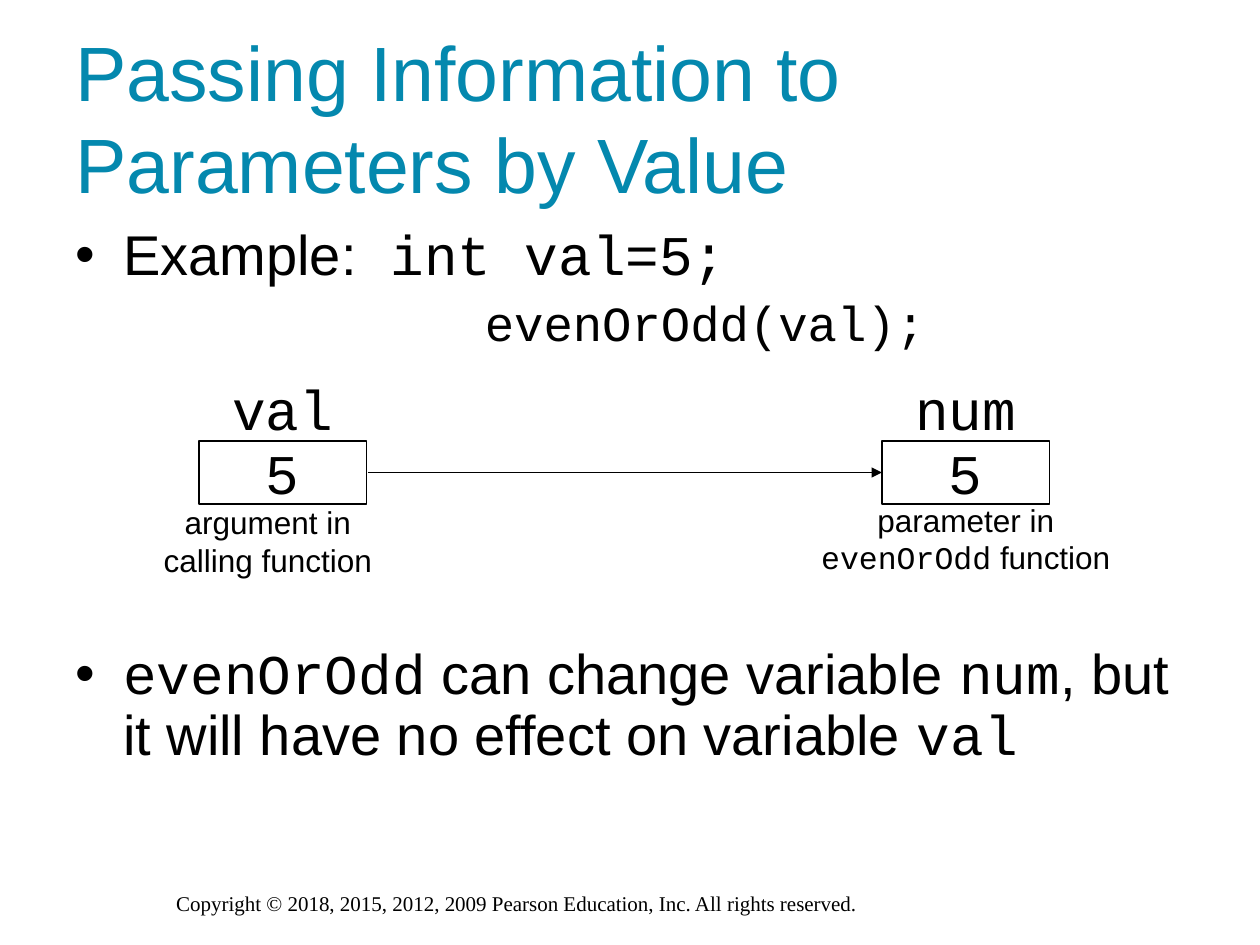
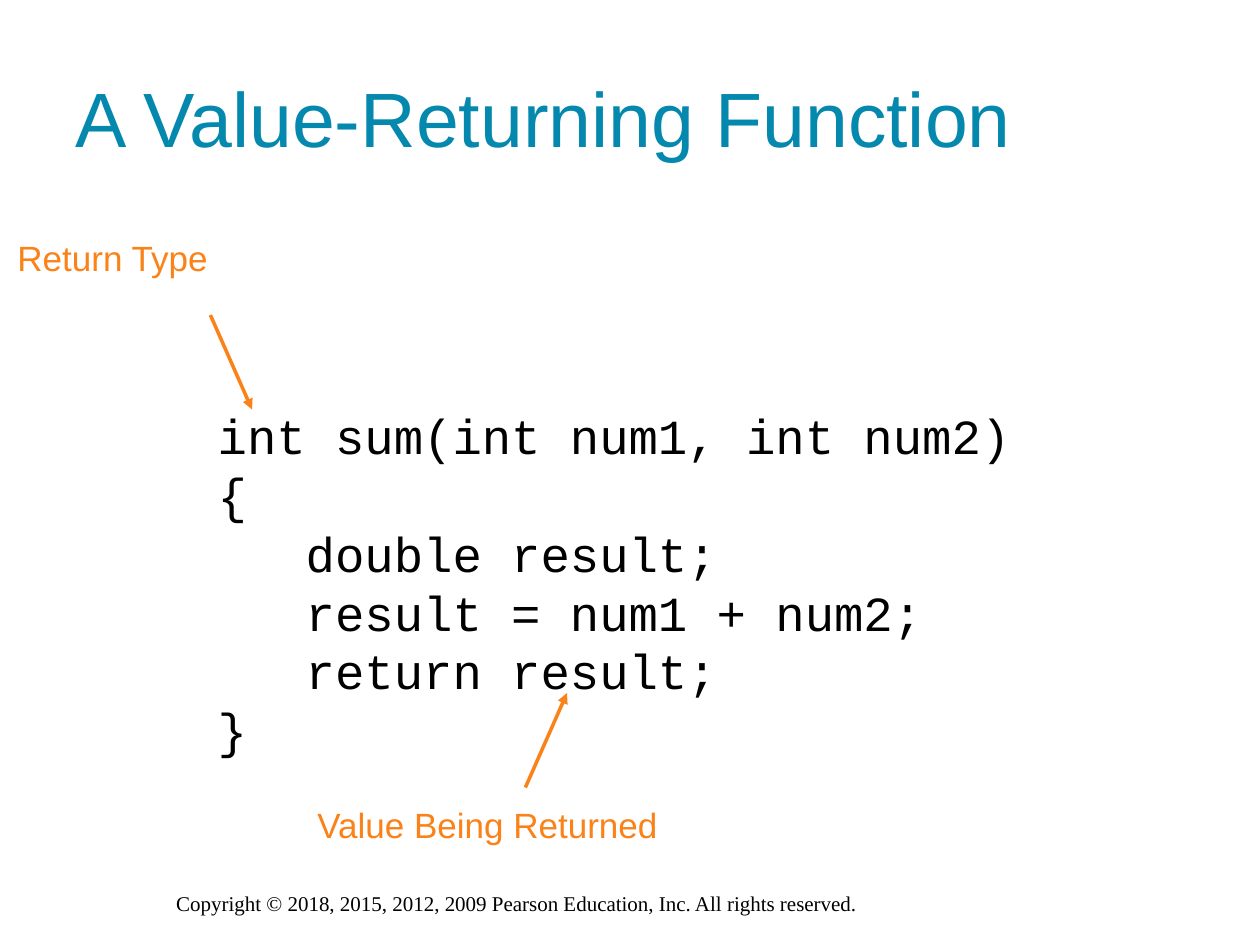
from lxml import etree
from pptx import Presentation
from pptx.dml.color import RGBColor
from pptx.enum import shapes, text
from pptx.oxml.ns import qn
from pptx.util import Inches, Pt

BLACK = RGBColor(0x00, 0x00, 0x00)
TEAL = RGBColor(0x04, 0x88, 0xAE)
ORANGE = RGBColor(0xFA, 0x82, 0x18)
SANS, MONO, SERIF = "Arial", "Courier New", "Times New Roman"
COPYRIGHT = "Copyright © 2018, 2015, 2012, 2009 Pearson Education, Inc. All rights reserved."
CODE = """int sum(int num1, int num2)
{
   double result;
   result = num1 + num2;
   return result;
}"""


class Deck:
    def __init__(self):
        self.presentation = Presentation()
        self.presentation.slide_width = Inches(10)
        self.presentation.slide_height = Inches(7.5)
        self.slide = None

    def new_slide(self, title):
        layout = self.presentation.slide_layouts[6]
        self.slide = self.presentation.slides.add_slide(layout)
        self.label(COPYRIGHT, 1.3, 7.02, 5.78, 0.3, 12, SERIF)
        frame = self.label(title, 0.5, 0.3, 9, 1.25, 44, color=TEAL)
        frame.vertical_anchor = text.MSO_ANCHOR.MIDDLE

    def label(self, words, left, top, width, height, size, font=SANS,
              color=BLACK, align=text.PP_ALIGN.LEFT, spacing=None, gap=0):
        box = self.slide.shapes.add_textbox(
            Inches(left), Inches(top), Inches(width), Inches(height))
        frame = box.text_frame
        frame.word_wrap = True
        self.fill_text(frame, words, size, font, color, align, spacing, gap)
        return frame

    def fill_text(self, frame, words, size, font, color, align, spacing=None, gap=0):
        for index, line in enumerate(words.split("\n")):
            paragraph = frame.add_paragraph() if index else frame.paragraphs[0]
            paragraph.alignment = align
            if spacing:
                paragraph.line_spacing = spacing
            if index and gap:
                paragraph.space_before = Pt(gap)
            for part, piece in enumerate(line.split("`")):
                if piece:
                    run = paragraph.add_run()
                    run.text = piece
                    run.font.size = Pt(size)
                    run.font.name = MONO if part % 2 else font
                    run.font.color.rgb = color

    def indent(self, paragraph, left, bullet=False):
        properties = paragraph._p.get_or_add_pPr()
        properties.set("marL", str(Inches(left)))
        if bullet:
            properties.set("indent", str(-Inches(left)))
            etree.SubElement(properties, qn("a:buFont")).set("typeface", SANS)
            etree.SubElement(properties, qn("a:buChar")).set("char", "•")

    def variable(self, name, value, left):
        center = text.PP_ALIGN.CENTER
        self.label(name, left, 2.92, 1.33, 0.64, 32, MONO, align=center)
        box = self.slide.shapes.add_shape(
            shapes.MSO_SHAPE.RECTANGLE,
            Inches(left), Inches(3.5), Inches(1.33), Inches(0.5))
        box.shadow.inherit = False
        box.fill.background()
        box.line.color.rgb = BLACK
        box.line.width = Pt(0.75)
        box.text_frame.word_wrap = False
        box.text_frame.vertical_anchor = text.MSO_ANCHOR.MIDDLE
        self.fill_text(box.text_frame, value, 32, MONO, BLACK, center)

    def arrow(self, start, end, color, width):
        line = self.slide.shapes.add_connector(
            shapes.MSO_CONNECTOR.STRAIGHT, *map(Inches, start + end))
        line.line.color.rgb = color
        line.line.width = Pt(width)
        tail = etree.SubElement(line.line._get_or_add_ln(), qn("a:tailEnd"))
        tail.set("type", "triangle")
        etree.SubElement(line._element.spPr, qn("a:effectLst"))


def passing_by_value(deck):
    deck.new_slide("Passing Information to Parameters by Value")
    body = deck.label(
        "Example:` int val=5;`\n"
        "`evenOrOdd(val);`\n"
        "`evenOrOdd` can change variable `num`, "
        "but it will have no effect on variable `val`",
        0.5, 1.75, 9, 4.95, 32, spacing=0.9)
    example, call, effect = body.paragraphs
    deck.indent(example, 0.38, bullet=True)
    call.space_before = Pt(7)
    call.runs[0].font.size = Pt(28)
    deck.indent(call, 3.25)
    effect.space_before = Pt(168)
    deck.indent(effect, 0.38, bullet=True)

    deck.variable("val", "5", 1.58)
    deck.variable("num", "5", 7)
    center = text.PP_ALIGN.CENTER
    deck.label("argument in\ncalling function", 0.75, 4, 2.75, 0.65, 18,
               align=center, spacing=0.8, gap=4.5)
    deck.label("parameter in\n`evenOrOdd` function", 6, 4, 3.33, 0.62, 18,
               align=center, spacing=0.75, gap=4.5)
    deck.arrow((2.92, 3.75), (7, 3.75), BLACK, 0.75)


def value_returning(deck):
    deck.new_slide("A Value-Returning Function")
    code = deck.label(CODE, 1.25, 3.17, 7.17, 2.9, 28, MONO)
    for paragraph in code.paragraphs:
        deck.indent(paragraph, 0.38)
    deck.label("Return Type", 0.04, 1.83, 2.48, 0.44, 20, color=ORANGE)
    deck.arrow((1.67, 2.5), (2, 3.25), ORANGE, 2)
    deck.label("Value Being Returned", 2.42, 6.33, 3.08, 0.44, 20, color=ORANGE)
    deck.arrow((4.17, 6.25), (4.5, 5.5), ORANGE, 2)


def main():
    deck = Deck()
    passing_by_value(deck)
    value_returning(deck)
    deck.presentation.save("out.pptx")


if __name__ == "__main__":
    main()
